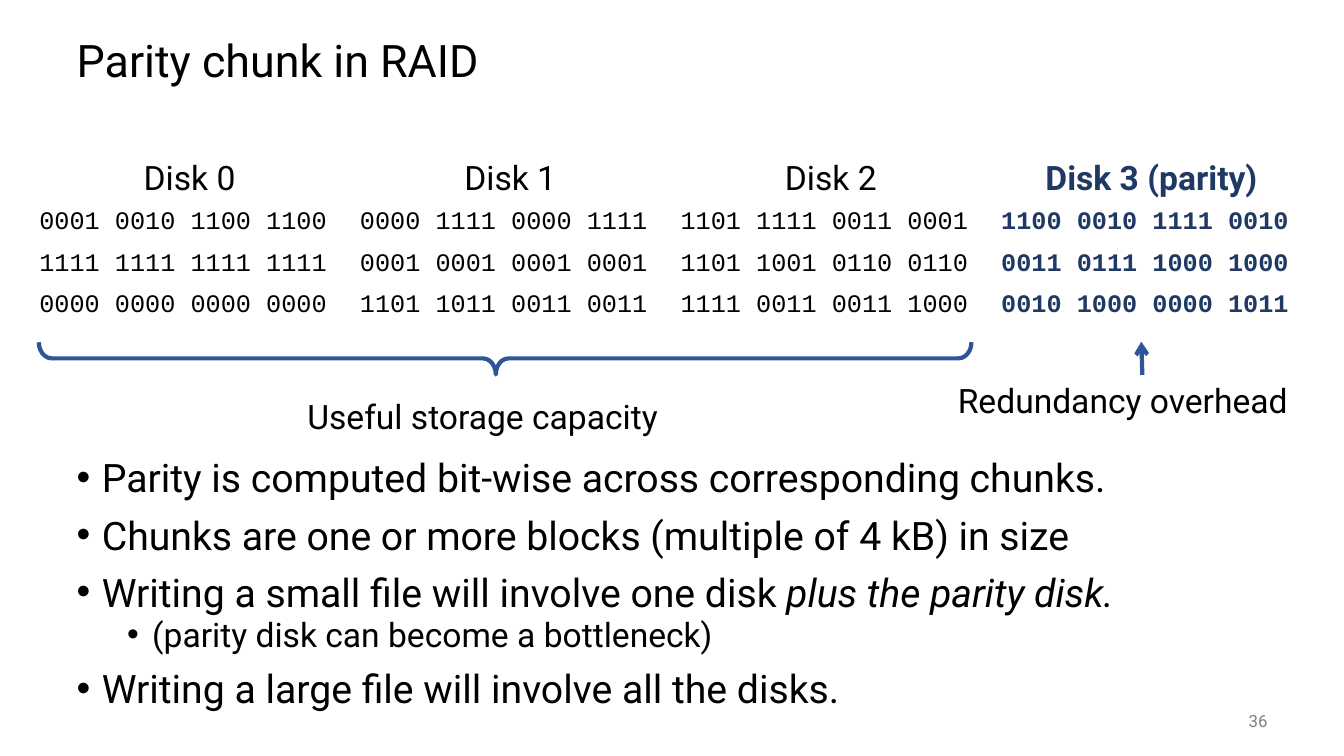
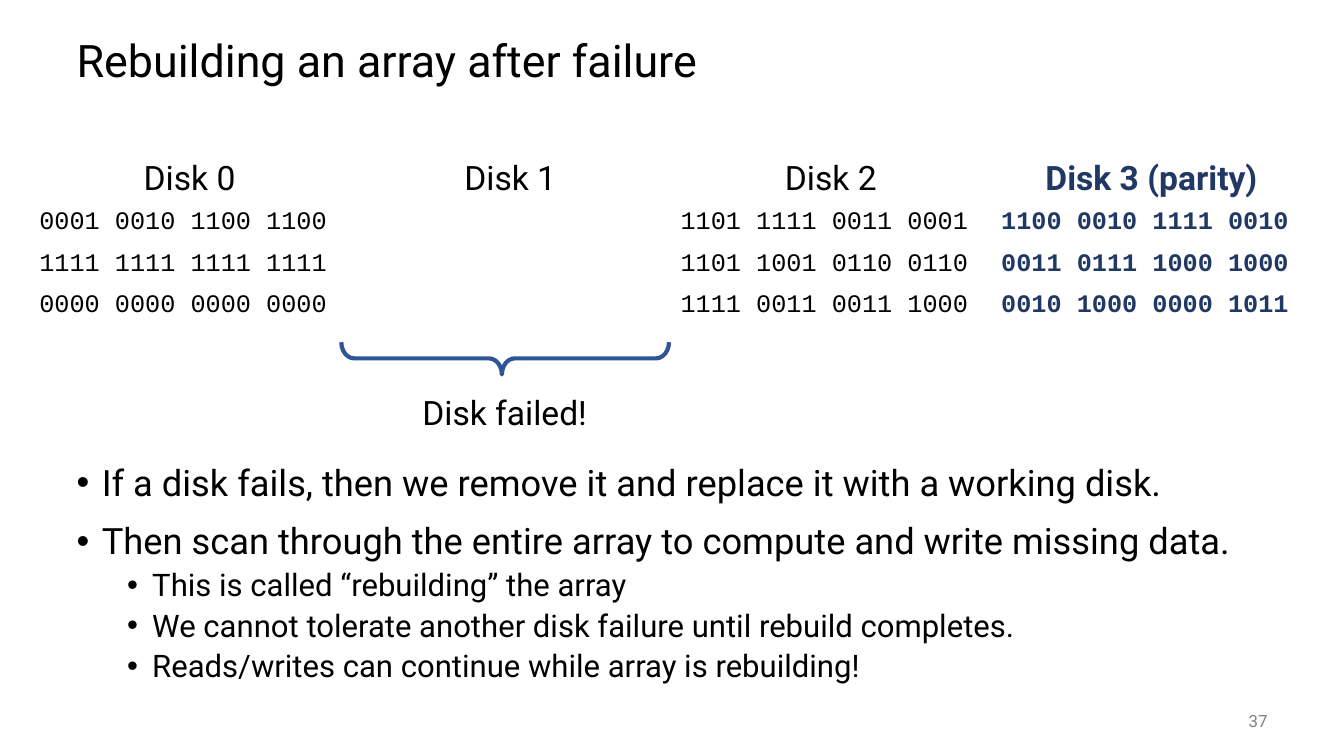
"""Build two slides on RAID parity and on rebuilding a failed array."""
import dataclasses
import typing

import lxml.etree
import pptx
import pptx.dml.color
import pptx.enum.dml
import pptx.enum.shapes
import pptx.enum.text
import pptx.oxml.ns
import pptx.presentation
import pptx.slide
import pptx.util

ALIGN = pptx.enum.text.PP_ALIGN
ANCHOR = pptx.enum.text.MSO_ANCHOR
FIT = pptx.enum.text.MSO_AUTO_SIZE
SCALE = 9144


@dataclasses.dataclass(frozen=True)
class Theme:
    ink: str = "000000"
    navy: str = "203864"
    blue: str = "2F5597"
    gray: str = "808080"
    sans: str = "Roboto"
    mono: str = "Courier New"
    title: float = 32
    label: float = 24
    code: float = 18
    page: float = 12
    stroke: float = 3


THEME = Theme()


class Box(typing.NamedTuple):
    left: int
    top: int
    width: int
    height: int


class Disk(typing.NamedTuple):
    name: str
    chunks: tuple[str, ...]
    parity: bool = False


class Label(typing.NamedTuple):
    text: str
    box: Box
    align: ALIGN


class Item(typing.NamedTuple):
    text: str
    level: int = 0
    stress: str = ""


class Level(typing.NamedTuple):
    indent: int
    before: float


class Page(typing.NamedTuple):
    number: int
    title: str
    disks: list[Disk]
    brace: Box
    labels: list[Label]
    body: Box
    sizes: tuple[float, float]
    spacing: float
    items: list[Item]
    arrow: tuple[int, int, int, int] | None = None


LEVELS = (Level(25, 14), Level(75, 5))
DISKS = [
    Disk("Disk 0", ("0001 0010 1100 1100", "1111 1111 1111 1111", "0000 0000 0000 0000")),
    Disk("Disk 1", ("0000 1111 0000 1111", "0001 0001 0001 0001", "1101 1011 0011 0011")),
    Disk("Disk 2", ("1101 1111 0011 0001", "1101 1001 0110 0110", "1111 0011 0011 1000")),
    Disk("Disk 3 (parity)", ("1100 0010 1111 0010", "0011 0111 1000 1000", "0010 1000 0000 1011"), True),
]
FAILED = [disk._replace(chunks=("", "", "")) if disk.name == "Disk 1" else disk for disk in DISKS]

PAGES = [
    Page(
        36, "Parity chunk in RAID", DISKS, Box(485, -107, 32, 925),
        [Label("Useful storage capacity", Box(295, 388, 372, 50), ALIGN.LEFT),
         Label("Redundancy overhead", Box(915, 372, 372, 50), ALIGN.RIGHT)],
        Box(66, 454, 1235, 273), (28, 24), 0.8,
        [Item("Parity is computed bit-wise across corresponding chunks."),
         Item("Chunks are one or more blocks (multiple of 4 kB) in size"),
         Item("Writing a small file will involve one disk ", stress="plus the parity disk."),
         Item("(parity disk can become a bottleneck)", 1),
         Item("Writing a large file will involve all the disks.")],
        (1133, 372, 1132, 339),
    ),
    Page(
        37, "Rebuilding an array after failure", FAILED, Box(485, 193, 32, 325),
        [Label("Disk failed!", Box(338, 384, 325, 50), ALIGN.CENTER)],
        Box(66, 456, 1200, 271), (25.9, 22.2), 0.9,
        [Item("If a disk fails, then we remove it and replace it with a working disk."),
         Item("Then scan through the entire array to compute and write missing data."),
         Item("This is called “rebuilding” the array", 1),
         Item("We cannot tolerate another disk failure until rebuild completes.", 1),
         Item("Reads/writes can continue while array is rebuilding!", 1)],
    ),
]


def px(count: int) -> pptx.util.Emu:
    return pptx.util.Emu(count * SCALE)


def span(box: Box) -> list[pptx.util.Emu]:
    return [px(side) for side in box]


def apply(thing: typing.Any, **values: typing.Any) -> None:
    for key, value in values.items():
        setattr(thing, key, value)


def style(font: typing.Any, size: float, color: str = THEME.ink, name: str = THEME.sans, bold: bool = False) -> None:
    apply(font, size=pptx.util.Pt(size), name=name, bold=bold)
    font.color.rgb = pptx.dml.color.RGBColor.from_string(color)


def place(shape: typing.Any, box: Box) -> None:
    apply(shape, **dict(zip(Box._fields, span(box))))


def stroke(shape: typing.Any) -> None:
    shape.line.color.rgb = pptx.dml.color.RGBColor.from_string(THEME.blue)
    shape.line.width = pptx.util.Pt(THEME.stroke)


def add_title(slide: pptx.slide.Slide, text: str) -> None:
    shape = slide.shapes.title
    place(shape, Box(66, 25, 1200, 75))
    apply(shape.text_frame, text=text, vertical_anchor=ANCHOR.MIDDLE, auto_size=FIT.NONE)
    para = shape.text_frame.paragraphs[0]
    apply(para, alignment=ALIGN.LEFT, line_spacing=0.9)
    style(para.runs[0].font, THEME.title)


def add_body(slide: pptx.slide.Slide, page: Page) -> None:
    shape = slide.placeholders[1]
    place(shape, page.body)
    frame = shape.text_frame
    apply(frame, auto_size=FIT.NONE, vertical_anchor=ANCHOR.TOP)
    for index, item in enumerate(page.items):
        para = frame.add_paragraph() if index else frame.paragraphs[0]
        level = LEVELS[item.level]
        props = para._p.get_or_add_pPr()
        props.set("marL", str(px(level.indent)))
        props.set("indent", str(px(-25)))
        bullet = lxml.etree.SubElement(props, pptx.oxml.ns.qn("a:buChar"))
        bullet.set("char", "•")
        before = pptx.util.Pt(level.before if index else 0)
        apply(para, level=item.level, line_spacing=page.spacing, space_before=before)
        for text, slant in ((item.text, False), (item.stress, True)):
            if text:
                run = para.add_run()
                run.text = text
                style(run.font, page.sizes[item.level])
                run.font.italic = slant


def add_disks(slide: pptx.slide.Slide, disks: list[Disk]) -> None:
    rows = len(disks[0].chunks) + 1
    frame = slide.shapes.add_table(rows, len(disks), *span(Box(29, 153, 318 * len(disks), 41 * rows)))
    table = frame.table
    apply(table, first_row=False, horz_banding=False)
    for col, disk in enumerate(disks):
        color = THEME.navy if disk.parity else THEME.ink
        for row, text in enumerate((disk.name, *disk.chunks)):
            cell = table.cell(row, col)
            cell.fill.background()
            cell.text = text
            para = cell.text_frame.paragraphs[0]
            para.alignment = ALIGN.LEFT if row else ALIGN.CENTER
            size, name = (THEME.code, THEME.mono) if row else (THEME.label, THEME.sans)
            for part in para.runs or [para]:
                style(part.font, size, color, name, disk.parity)


def add_brace(slide: pptx.slide.Slide, box: Box) -> None:
    shape = slide.shapes.add_shape(pptx.enum.shapes.MSO_SHAPE.LEFT_BRACE, *span(box))
    shape.rotation = 270
    shape.adjustments[0], shape.adjustments[1] = 0.4, 0.49
    shape.shadow.inherit = False
    shape.fill.background()
    stroke(shape)


def add_arrow(slide: pptx.slide.Slide, ends: tuple[int, int, int, int]) -> None:
    kind = pptx.enum.shapes.MSO_CONNECTOR.STRAIGHT
    line = slide.shapes.add_connector(kind, *(px(end) for end in ends))
    stroke(line)
    tip = lxml.etree.SubElement(line.line._get_or_add_ln(), pptx.oxml.ns.qn("a:tailEnd"))
    tip.set("type", "arrow")
    lxml.etree.SubElement(line._element.spPr, pptx.oxml.ns.qn("a:effectLst"))


def add_label(
    slide: pptx.slide.Slide, label: Label, size: float = THEME.label,
    color: str = THEME.ink, anchor: ANCHOR = ANCHOR.TOP,
) -> None:
    frame = slide.shapes.add_textbox(*span(label.box)).text_frame
    apply(frame, word_wrap=True, text=label.text, vertical_anchor=anchor)
    para = frame.paragraphs[0]
    para.alignment = label.align
    style(para.runs[0].font, size, color)


def add_page(deck: pptx.presentation.Presentation, page: Page) -> None:
    slide = deck.slides.add_slide(deck.slide_layouts[1])
    add_title(slide, page.title)
    add_body(slide, page)
    add_disks(slide, page.disks)
    add_brace(slide, page.brace)
    if page.arrow:
        add_arrow(slide, page.arrow)
    for label in page.labels:
        add_label(slide, label)
    number = Label(str(page.number), Box(1167, 695, 100, 40), ALIGN.RIGHT)
    add_label(slide, number, THEME.page, THEME.gray, ANCHOR.MIDDLE)


def main() -> None:
    deck = pptx.Presentation()
    apply(deck, slide_width=px(1333), slide_height=px(750))
    for page in PAGES:
        add_page(deck, page)
    deck.save("out.pptx")


if __name__ == "__main__":
    main()
